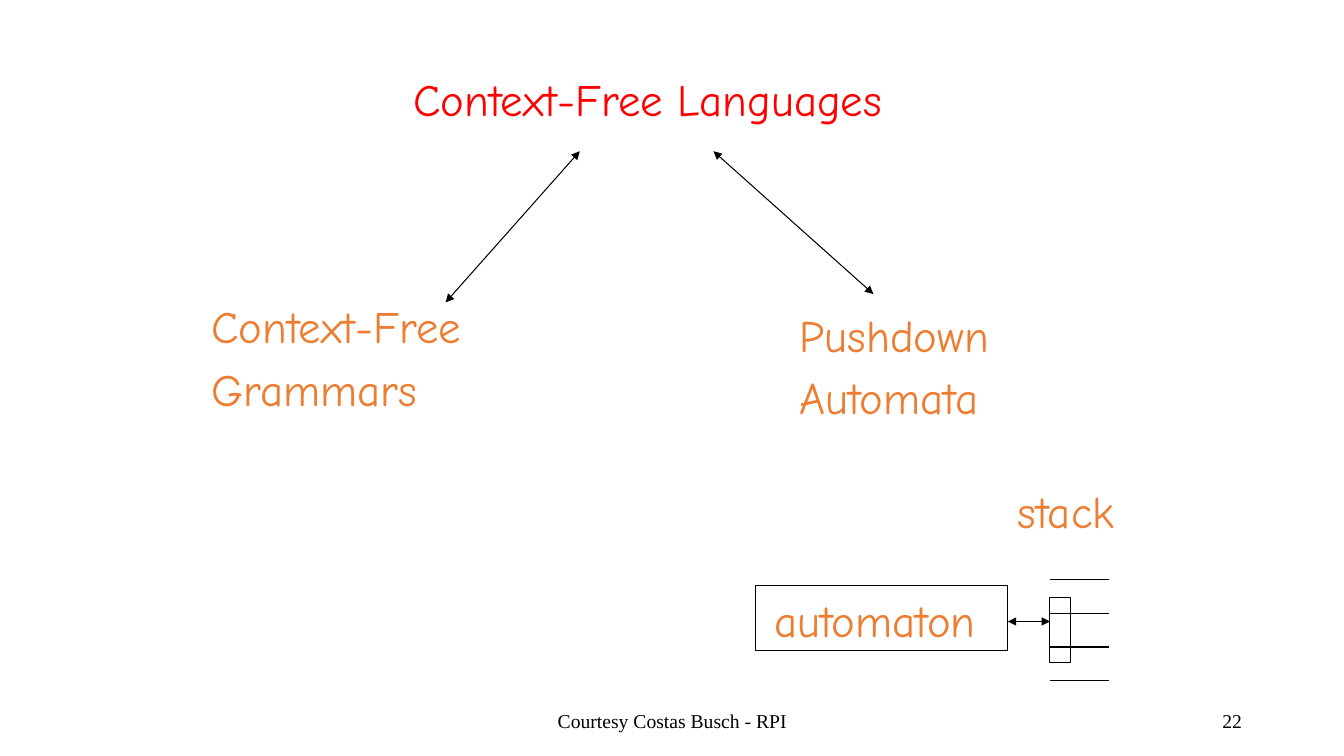
from dataclasses import dataclass

from lxml import etree
from pptx import Presentation
from pptx.dml.color import RGBColor
from pptx.enum.shapes import MSO_CONNECTOR, MSO_SHAPE
from pptx.enum.text import MSO_ANCHOR, MSO_AUTO_SIZE, PP_ALIGN
from pptx.oxml.ns import qn
from pptx.shapes.base import BaseShape
from pptx.slide import Slide
from pptx.util import Cm, Pt

STRAIGHT = MSO_CONNECTOR.STRAIGHT
RECTANGLE = MSO_SHAPE.RECTANGLE
TOP, MIDDLE = MSO_ANCHOR.TOP, MSO_ANCHOR.MIDDLE
LEFT, CENTER, RIGHT = PP_ALIGN.LEFT, PP_ALIGN.CENTER, PP_ALIGN.RIGHT
FIT_SHAPE = MSO_AUTO_SIZE.SHAPE_TO_FIT_TEXT


@dataclass(frozen=True)
class Theme:
    """Colours, fonts and sizes of the slide."""
    title: RGBColor = RGBColor(0xFF, 0x00, 0x00)
    label: RGBColor = RGBColor(0xED, 0x7D, 0x31)
    ink: RGBColor = RGBColor(0x00, 0x00, 0x00)
    label_font: str = "Comic Neue"
    footer_font: str = "Times New Roman"
    label_size: Pt = Pt(32)
    label_gap: Pt = Pt(6.4)
    footer_size: Pt = Pt(14)
    line_width: Pt = Pt(0.75)


THEME = Theme()


@dataclass(frozen=True)
class Area:
    """A rectangle on the slide, in centimetres."""
    left: float
    top: float
    width: float
    height: float

    def lengths(self) -> tuple[Cm, Cm, Cm, Cm]:
        """Return left, top, width and height as lengths."""
        return Cm(self.left), Cm(self.top), Cm(self.width), Cm(self.height)


@dataclass(frozen=True)
class Label:
    """Lines of large text in an area."""
    area: Area
    lines: tuple[str, ...]


@dataclass(frozen=True)
class Footer:
    """A small line of text at the bottom of the slide."""
    area: Area
    text: str
    align: PP_ALIGN


@dataclass(frozen=True)
class Stroke:
    """A straight line between two points, in centimetres."""
    start: tuple[float, float]
    end: tuple[float, float]
    arrows: bool = False


TITLE = Label(Area(10.16, 1.69, 13.31, 1.6), ("Context-Free Languages",))
LABELS = (
    Label(Area(19.9, 7.62, 5.66, 3.28), ("Pushdown", "Automata")),
    Label(Area(5.08, 7.41, 7.72, 3.28), ("Context-Free", "Grammars")),
    Label(Area(25.4, 12.07, 3.35, 1.6), ("stack",)),
    Label(Area(19.26, 14.82, 5.97, 1.6), ("automaton",)),
)
FOOTERS = (
    Footer(Area(11.23, 17.65, 11.43, 1.02), "Courtesy Costas Busch - RPI", CENTER),
    Footer(Area(23.93, 17.65, 7.62, 1.02), "22", RIGHT),
)
AUTOMATON = Area(19.05, 14.76, 6.35, 1.63)
STACK_HEAD = Area(26.46, 15.06, 0.51, 1.63)
STACK = Area(26.46, 14.61, 1.48, 2.54)
STACK_CELLS = 3
ARROWS = (
    Stroke((14.61, 3.81), (11.23, 7.62), arrows=True),
    Stroke((17.98, 3.81), (22.01, 7.41), arrows=True),
    Stroke((25.4, 15.66), (26.46, 15.66), arrows=True),
)


def place(shape: BaseShape, area: Area) -> None:
    """Move and size a shape to an area."""
    shape.left, shape.top, shape.width, shape.height = area.lengths()


def write_label(box: BaseShape, label: Label, color: RGBColor) -> None:
    """Write large left-aligned lines that do not wrap."""
    place(box, label.area)
    frame = box.text_frame
    frame.text = "\n".join(label.lines)
    frame.word_wrap = False
    frame.auto_size = FIT_SHAPE
    frame.vertical_anchor = TOP
    for paragraph in frame.paragraphs:
        paragraph.alignment = LEFT
        paragraph.space_before = THEME.label_gap
        paragraph.font.name = THEME.label_font
        paragraph.font.size = THEME.label_size
        paragraph.font.color.rgb = color


def add_footer(page: Slide, footer: Footer) -> None:
    """Add one line of footer text."""
    frame = page.shapes.add_textbox(*footer.area.lengths()).text_frame
    frame.word_wrap = True
    frame.vertical_anchor = MIDDLE
    paragraph = frame.paragraphs[0]
    paragraph.text = footer.text
    paragraph.alignment = footer.align
    paragraph.font.name = THEME.footer_font
    paragraph.font.size = THEME.footer_size
    paragraph.font.color.rgb = THEME.ink


def add_outline(page: Slide, area: Area) -> None:
    """Add an unfilled rectangle."""
    shape = page.shapes.add_shape(RECTANGLE, *area.lengths())
    shape.shadow.inherit = False
    shape.fill.background()
    shape.line.color.rgb = THEME.ink
    shape.line.width = THEME.line_width


def add_stroke(page: Slide, stroke: Stroke) -> None:
    """Add a line, with arrowheads at both ends if wanted."""
    ends = (Cm(value) for value in stroke.start + stroke.end)
    connector = page.shapes.add_connector(STRAIGHT, *ends)
    connector.line.color.rgb = THEME.ink
    connector.line.width = THEME.line_width
    properties = connector.element.spPr
    if stroke.arrows:
        for tag in ("a:headEnd", "a:tailEnd"):
            etree.SubElement(properties.find(qn("a:ln")), qn(tag), type="triangle")
    etree.SubElement(properties, qn("a:effectLst"))


def stack_strokes() -> list[Stroke]:
    """Return the evenly spaced lines between the stack cells."""
    right = STACK.left + STACK.width
    step = STACK.height / STACK_CELLS
    heights = [STACK.top + index * step for index in range(STACK_CELLS + 1)]
    return [Stroke((STACK.left, y), (right, y)) for y in heights]


def build() -> None:
    """Build the slide and save the deck."""
    deck = Presentation()
    deck.slide_width, deck.slide_height = Cm(33.87), Cm(19.05)
    page = deck.slides.add_slide(deck.slide_layouts.get_by_name("Title Only"))
    write_label(page.shapes.title, TITLE, THEME.title)
    for footer in FOOTERS:
        add_footer(page, footer)
    for area in (AUTOMATON, STACK_HEAD):
        add_outline(page, area)
    for stroke in (*ARROWS, *stack_strokes()):
        add_stroke(page, stroke)
    for label in LABELS:
        box = page.shapes.add_textbox(*label.area.lengths())
        write_label(box, label, THEME.label)
    deck.save("out.pptx")


build()
